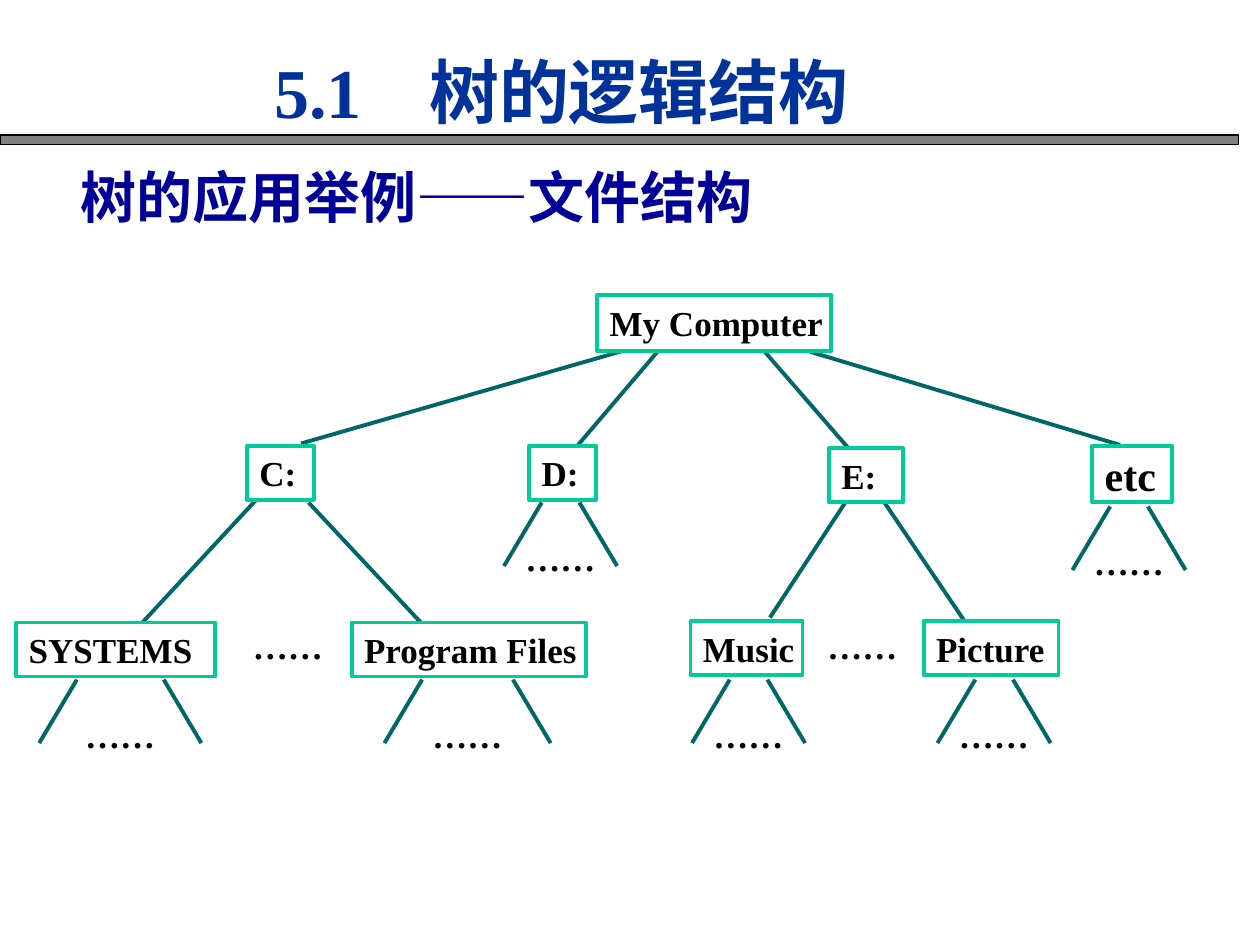
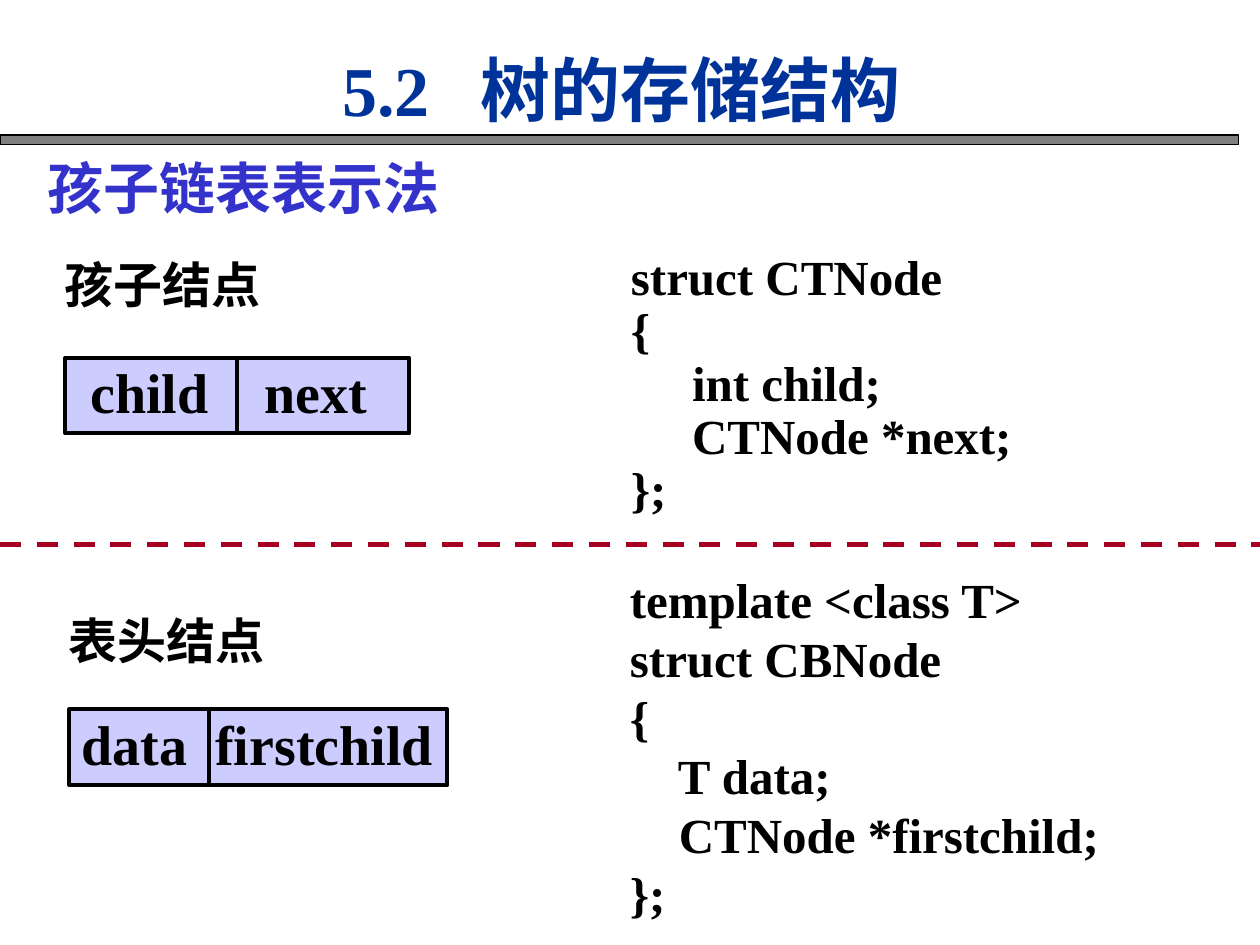
import pptx
import pptx.dml.color
import pptx.enum.dml
import pptx.enum.shapes
import pptx.enum.text
import pptx.oxml
import pptx.oxml.ns
import pptx.util
from pptx.util import Cm

TITLE_BLUE, HEADING_NAVY, HEADING_BLUE = "003399", "000099", "3333CC"
BLACK, WHITE, BAND_GREY = "000000", "FFFFFF", "808080"
NODE_GREEN, BRANCH_GREEN = "00CC99", "006666"
FIELD_LILAC, DIVIDER_RED = "CCCCFF", "A50021"
ANCHOR = pptx.enum.text.MSO_ANCHOR
INSETS = (0.25, 0.13, 0.25, 0.13)
NODE_HEIGHT, TALL_NODE_HEIGHT = 1.09, 1.14


def color(hex_string):
    return pptx.dml.color.RGBColor.from_string(hex_string)


def add_tab_stop(paragraph, position):
    properties = paragraph._p.get_or_add_pPr()
    stops = pptx.oxml.parse_xml(
        f'<a:tabLst {pptx.oxml.ns.nsdecls("a")}>'
        f'<a:tab pos="{Cm(position)}" algn="l"/></a:tabLst>')
    properties.append(stops)


class Deck:
    def __init__(self):
        self.presentation = pptx.Presentation()
        self.presentation.slide_width = Cm(25.4)
        self.presentation.slide_height = Cm(19.05)
        self.layout = self.presentation.slide_layouts[5]
        self.slide = None

    def start_slide(self, number, topic, left, top, topic_tab):
        first = self.slide is None
        self.slide = self.presentation.slides.add_slide(self.layout)
        if first:
            self.share_band()
        title = self.slide.shapes.title
        title.left, title.top = Cm(left), Cm(top)
        title.width, title.height = Cm(12.27), Cm(1.96)
        self.set_text(title, [f"{number}\t{topic}"], 40, TITLE_BLUE, tab=topic_tab)

    def share_band(self):
        """Draw the band under the title and move it to the layout."""
        band = self.box(0, 2.72, 24.97, 0.2, BAND_GREY, BLACK, 0.75)
        self.layout.shapes.element.append(band.element)

    def set_text(self, shape, lines, size, ink=BLACK, font="Times New Roman",
                 insets=INSETS, anchor=ANCHOR.TOP, wrap=True, tab=None, spacing=None):
        frame = shape.text_frame
        frame.auto_size = pptx.enum.text.MSO_AUTO_SIZE.NONE
        frame.word_wrap = wrap
        frame.vertical_anchor = anchor
        (frame.margin_left, frame.margin_top,
         frame.margin_right, frame.margin_bottom) = map(Cm, insets)
        for index, line in enumerate(lines):
            paragraph = frame.add_paragraph() if index else frame.paragraphs[0]
            if tab:
                add_tab_stop(paragraph, tab)
            paragraph.alignment = pptx.enum.text.PP_ALIGN.LEFT
            if spacing:
                paragraph.line_spacing = spacing
            run = paragraph.add_run()
            run.text = line
            run.font.name, run.font.size = font, pptx.util.Pt(size)
            run.font.bold = True
            run.font.color.rgb = color(ink)

    def text(self, left, top, width, height, lines, size, **style):
        area = self.slide.shapes.add_textbox(Cm(left), Cm(top), Cm(width), Cm(height))
        self.set_text(area, lines, size, **style)

    def box(self, left, top, width, height, fill, outline, weight=2.25):
        shape = self.slide.shapes.add_shape(
            pptx.enum.shapes.MSO_SHAPE.RECTANGLE,
            Cm(left), Cm(top), Cm(width), Cm(height))
        shape.shadow.inherit = False
        shape.fill.solid()
        shape.fill.fore_color.rgb = color(fill)
        shape.line.color.rgb = color(outline)
        shape.line.width = pptx.util.Pt(weight)
        return shape

    def line(self, x1, y1, x2, y2, ink, weight=2.25, dash=None):
        connector = self.slide.shapes.add_connector(
            pptx.enum.shapes.MSO_CONNECTOR.STRAIGHT, Cm(x1), Cm(y1), Cm(x2), Cm(y2))
        connector.line.color.rgb = color(ink)
        connector.line.width = pptx.util.Pt(weight)
        if dash:
            connector.line.dash_style = dash
        connector.element.spPr.append(
            pptx.oxml.parse_xml(f'<a:effectLst {pptx.oxml.ns.nsdecls("a")}/>'))

    def tree_node(self, label, left, top, width, height=NODE_HEIGHT, size=20):
        node = self.box(left, top, width, height, WHITE, NODE_GREEN)
        self.set_text(node, [label], size, anchor=ANCHOR.MIDDLE, wrap=False)

    def ellipsis(self, left, top):
        self.text(left, top, 1.85, NODE_HEIGHT, ["……"], 20,
                  anchor=ANCHOR.MIDDLE, wrap=False)

    def twigs(self, left, right, top):
        """Two short branches spreading down, with an ellipsis between them."""
        self.line(left, top, left - 0.76, top + 1.28, BRANCH_GREEN)
        self.line(right, top, right + 0.76, top + 1.28, BRANCH_GREEN)
        self.ellipsis((left + right) / 2 - 0.96, top + 0.56)

    def record(self, left, top, width, fields, divider, inset, field_tab):
        """A two-field structure: one box, split by a divider line."""
        height = 1.53
        body = self.box(left, top, width, height, FIELD_LILAC, BLACK)
        self.set_text(body, ["\t".join(fields)], 32, insets=(inset, 0, 0, 0),
                      tab=field_tab)
        self.line(divider, top, divider, top + height, BLACK)


def build_file_tree(deck):
    deck.start_slide("5.1", "树的逻辑结构", 5.28, 0.84, 3.12)
    deck.text(1.37, 3.15, 16.41, 1.63, ["树的应用举例——文件结构"], 32,
              ink=HEADING_NAVY, font="Arial")
    branches = [
        (12.6, 7.06, 6.07, 8.94), (13.28, 7.06, 11.61, 9.02),
        (15.39, 7.06, 17.09, 9.02), (16.33, 7.09, 22.58, 8.97),
        (5.16, 10.08, 2.87, 12.55), (6.22, 10.13, 8.53, 12.6),
        (17.04, 10.13, 15.52, 12.45), (17.83, 10.13, 19.43, 12.5),
    ]
    for branch in branches:
        deck.line(*branch, BRANCH_GREEN)
    nodes = [
        ("My Computer", 12.04, 5.94, 4.72, TALL_NODE_HEIGHT),
        ("C:", 4.98, 8.99, 1.35), ("D:", 10.67, 8.99, 1.35),
        ("E:", 16.71, 9.04, 1.5), ("etc", 22.02, 8.99, 1.6, TALL_NODE_HEIGHT, 24),
        ("SYSTEMS", 0.33, 12.55, 4.01), ("Program Files", 7.09, 12.55, 4.72),
        ("Music", 13.92, 12.52, 2.26), ("Picture", 18.62, 12.52, 2.72),
    ]
    for node in nodes:
        deck.tree_node(*node)
    for left, right, top in [(10.92, 11.68, 10.13), (22.38, 23.14, 10.21),
                             (1.55, 3.3, 13.7), (8.51, 10.34, 13.7),
                             (14.71, 15.47, 13.7), (19.66, 20.42, 13.7)]:
        deck.twigs(left, right, top)
    for siblings_left in (4.85, 16.43):
        deck.ellipsis(siblings_left, 12.46)


def build_child_list(deck):
    deck.start_slide("5.2", "树的存储结构", 6.65, 0.81, 2.79)
    deck.text(0.71, 2.97, 12.9, 1.63, ["孩子链表表示法"], 32, ink=HEADING_BLUE)

    deck.text(1.3, 5.13, 7.92, 1.14, ["孩子结点"], 28, insets=(0, 0, 0, 0))
    deck.record(1.32, 7.21, 6.93, ["child", "next"], 4.78, 0.5, 3.51)
    child_code = ["struct CTNode", "{", "     int child;", "     CTNode *next;", "};"]
    deck.text(12.47, 4.98, 8.86, 5.59, child_code, 28, spacing=0.9)

    deck.line(0, 10.97, 25.4, 10.97, DIVIDER_RED, 3, pptx.enum.dml.MSO_LINE.DASH)

    deck.text(1.14, 12.17, 4.45, 1.45, ["表头结点"], 28, font="Arial", wrap=False)
    deck.record(1.4, 14.3, 7.62, ["data", "firstchild"], 4.22, 0.25, 2.69)
    head_code = ["template <class T>", "struct CBNode", "{", "    T data;",
                 "    CTNode *firstchild;", "};"]
    deck.text(12.45, 11.35, 11.18, 7.37, head_code, 28)


def main():
    deck = Deck()
    build_file_tree(deck)
    build_child_list(deck)
    deck.presentation.save("out.pptx")


if __name__ == "__main__":
    main()
